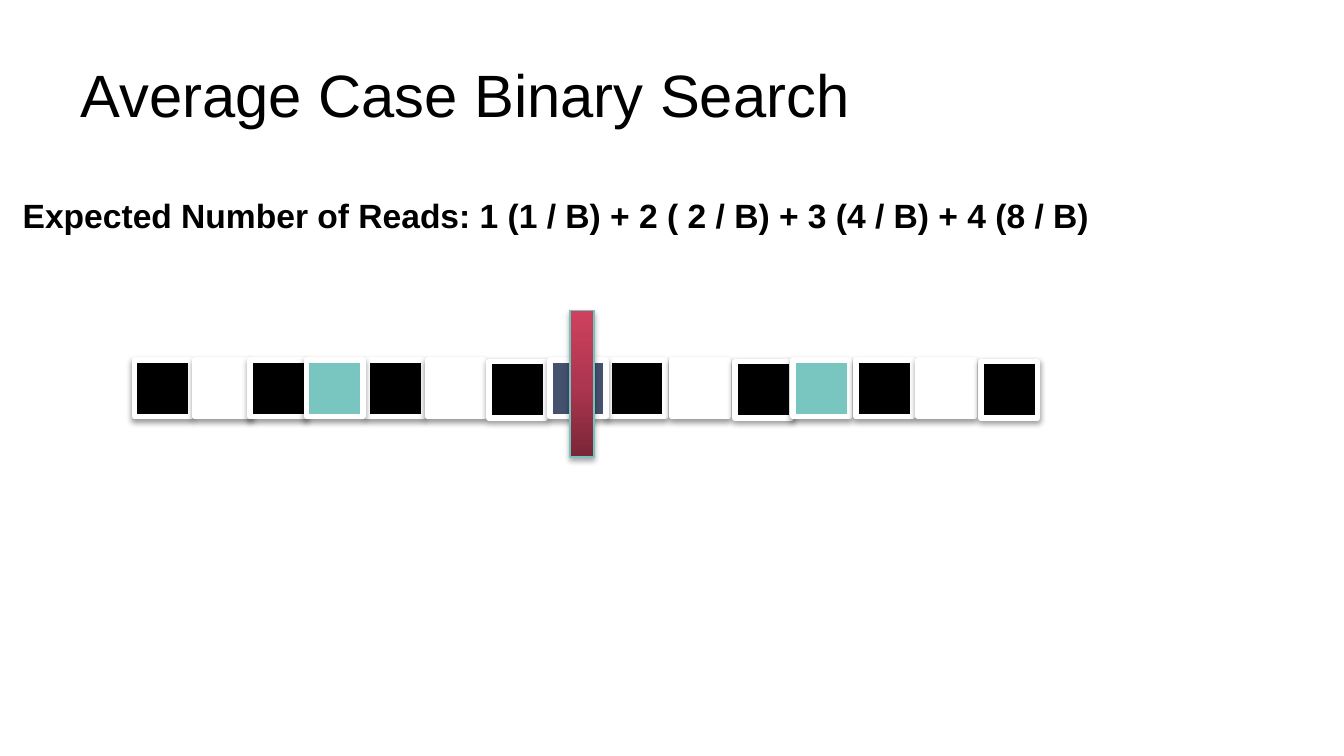
from pptx import Presentation
from pptx.dml.color import RGBColor
from pptx.enum import shapes, text
from pptx.oxml import parse_xml
from pptx.oxml.ns import nsdecls, qn
from pptx.util import Inches, Pt

BLACK = RGBColor(0x00, 0x00, 0x00)
WHITE = RGBColor(0xFF, 0xFF, 0xFF)
TEAL = RGBColor(0x79, 0xC6, 0xC1)
NAVY = RGBColor(0x44, 0x51, 0x6F)
MARKER_LINE = RGBColor(0x74, 0xC4, 0xBE)
MARKER_STOPS = [
    (0, RGBColor(0x7A, 0x26, 0x38)),
    (50, RGBColor(0xAE, 0x36, 0x50)),
    (100, RGBColor(0xCE, 0x41, 0x5E)),
]


def add_text(left, top, width, height, content, size, bold, anchor):
    box = slide.shapes.add_textbox(Inches(left), Inches(top), Inches(width), Inches(height))
    frame = box.text_frame
    frame.word_wrap = True
    frame.vertical_anchor = anchor
    frame.text = content
    font = frame.paragraphs[0].runs[0].font
    font.name = "Arial"
    font.size = Pt(size)
    font.bold = bold
    font.color.rgb = BLACK


def add_block(left, top, width, height, line_color, line_width, distance, opacity):
    shape = slide.shapes.add_shape(
        shapes.MSO_SHAPE.RECTANGLE, Inches(left), Inches(top), Inches(width), Inches(height)
    )
    shape.line.color.rgb = line_color
    shape.line.width = Pt(line_width)
    shape.shadow.inherit = False
    effects = shape._element.spPr.find(qn("a:effectLst"))
    effects.append(parse_xml(
        f'<a:outerShdw {nsdecls("a")} blurRad="{Pt(3.1)}" dist="{Pt(distance)}" '
        f'dir="5400000" rotWithShape="0"><a:srgbClr val="{BLACK}">'
        f'<a:alpha val="{opacity * 1000}"/></a:srgbClr></a:outerShdw>'
    ))
    return shape


presentation = Presentation()
presentation.slide_width = Inches(10)
presentation.slide_height = Inches(10) * 9 // 16
slide = presentation.slides.add_slide(presentation.slide_layouts[6])

add_text(0.5, 0.23, 9, 0.94, "Average Case Binary Search", 32, False, text.MSO_ANCHOR.MIDDLE)
add_text(
    0.07, 1.4, 10.68, 3.71,
    "Expected Number of Reads: 1 (1 / B) + 2 ( 2 / B) + 3 (4 / B) + 4 (8 / B)",
    18, True, text.MSO_ANCHOR.TOP,
)

blocks = [
    (1, BLACK), (1.45, WHITE), (1.86, BLACK), (2.73, BLACK), (3.18, WHITE),
    (3.64, BLACK), (4.53, BLACK), (5, WHITE), (5.47, BLACK), (2.28, TEAL),
    (5.9, TEAL), (4.09, NAVY), (6.37, BLACK), (6.83, WHITE), (7.3, BLACK),
]
lowered_lefts = (3.64, 5.47, 7.3)
for left, color in blocks:
    top = 2.69 if left in lowered_lefts else 2.68
    block = add_block(left, top, 0.42, 0.42, WHITE, 3, 1.6, 38)
    block.fill.solid()
    block.fill.fore_color.rgb = color

marker = add_block(4.24, 2.31, 0.18, 1.09, MARKER_LINE, 0.75, 1.8, 35)
stops = "".join(
    f'<a:gs pos="{position * 1000}"><a:srgbClr val="{color}"/></a:gs>'
    for position, color in MARKER_STOPS
)
marker._element.spPr.find(qn("a:ln")).addprevious(parse_xml(
    f'<a:gradFill {nsdecls("a")} rotWithShape="1"><a:gsLst>{stops}</a:gsLst>'
    '<a:lin ang="16200000" scaled="0"/></a:gradFill>'
))

presentation.save("out.pptx")
